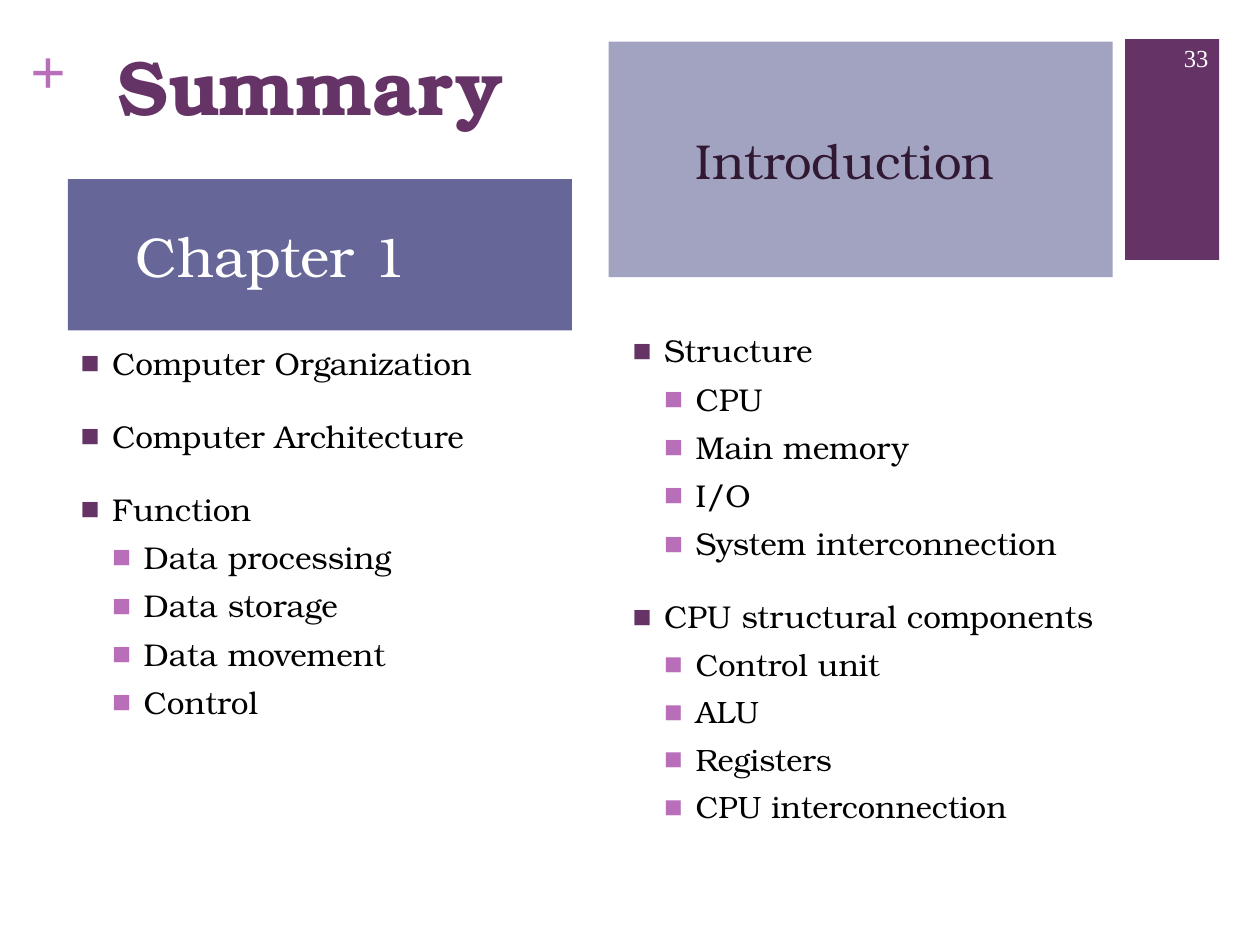
import pptx
import pptx.dml.color
import pptx.enum.shapes
import pptx.enum.text
import pptx.oxml
import pptx.oxml.ns
import pptx.util
from pptx.util import Cm

COLORS = {
    "plum": "663366", "orchid": "B86EB8", "slate": "666699", "lavender": "A2A2C1",
    "dark": "321933", "black": "000000", "white": "FFFFFF",
}
SERIF, NUMBER_FONT = "TeX Gyre Bonum", "Times New Roman"
ALIGN = pptx.enum.text.PP_ALIGN
ANCHOR = pptx.enum.text.MSO_ANCHOR

TITLE = "Summary"
# placeholder index, text, box in cm, size, fill, text color, right inset in cm
HEADINGS = [
    (1, "Chapter 1", (1.37, 3.61, 10.16, 3.05), 32, "slate", "white", 2.2),
    (3, "Introduction", (12.27, 0.84, 10.16, 4.75), 28, "lavender", "dark", 0.9),
]
# placeholder index, box in cm, topics as (name, size of subtopics, subtopics)
LISTS = [
    (2, (1.37, 6.81, 10.16, 10.21), [
        ("Computer Organization", 18, []),
        ("Computer Architecture", 18, []),
        ("Function", 18, ["Data processing", "Data storage", "Data movement", "Control"]),
    ]),
    (4, (12.5, 6.55, 10.16, 11), [
        ("Structure", 18, ["CPU", "Main memory", "I/O", "System interconnection"]),
        ("CPU structural components", 17.6,
         ["Control unit", "ALU", "Registers", "CPU interconnection"]),
    ]),
]
# level -> bullet color, space before
LEVELS = [("plum", 20), ("orchid", 6)]
INDENT = Cm(0.635)


def rgb(name):
    return pptx.dml.color.RGBColor.from_string(COLORS[name])


def place(shape, box):
    shape.left, shape.top, shape.width, shape.height = (Cm(value) for value in box)


def style(paragraph, size, color, font=SERIF, bold=False, align=ALIGN.LEFT):
    paragraph.alignment = align
    paragraph.font.size = pptx.util.Pt(size)
    paragraph.font.name = font
    paragraph.font.bold = bold
    paragraph.font.color.rgb = rgb(color)


def set_fill(shape, color):
    shape.fill.solid()
    shape.fill.fore_color.rgb = rgb(color)


def prepare_frame(shape, anchor=ANCHOR.TOP):
    frame = shape.text_frame
    frame.word_wrap = True
    frame.auto_size = pptx.enum.text.MSO_AUTO_SIZE.NONE
    frame.vertical_anchor = anchor
    return frame


def add_bullet(paragraph, level, color):
    properties = paragraph._p.get_or_add_pPr()
    properties.set("marL", str(INDENT * (level + 1)))
    properties.set("indent", str(-INDENT))
    namespace = pptx.oxml.ns.nsdecls("a")
    for xml in (
        f'<a:buClr {namespace}><a:srgbClr val="{COLORS[color]}"/></a:buClr>',
        f'<a:buSzPct {namespace} val="100000"/>',
        f'<a:buChar {namespace} char="■"/>',
    ):
        properties.append(pptx.oxml.parse_xml(xml))


def fill_list(frame, topics):
    entries = []
    for topic, size, subtopics in topics:
        entries.append((topic, 0, 18))
        entries += [(subtopic, 1, size) for subtopic in subtopics]
    for number, (text, level, size) in enumerate(entries):
        paragraph = frame.add_paragraph() if number else frame.paragraphs[0]
        bullet_color, space = LEVELS[level]
        paragraph.text = text
        paragraph.level = level
        paragraph.space_before = pptx.util.Pt(space if number else 0)
        style(paragraph, size, "black")
        add_bullet(paragraph, level, bullet_color)


def add_label(slide, text, box, **text_style):
    label = slide.shapes.add_textbox(*(Cm(value) for value in box))
    frame = prepare_frame(label)
    frame.text = text
    style(frame.paragraphs[0], font=NUMBER_FONT, **text_style)
    return frame


def main():
    presentation = pptx.Presentation()
    presentation.slide_width, presentation.slide_height = Cm(25.4), Cm(19.05)
    slide = presentation.slides.add_slide(presentation.slide_layouts[4])
    placeholders = {shape.placeholder_format.idx: shape for shape in slide.placeholders}

    title = placeholders[0]
    place(title, (2.11, 0.64, 11.3, 3.1))
    frame = prepare_frame(title)
    frame.text = TITLE
    style(frame.paragraphs[0], 44, "plum", bold=True)

    for index, box, topics in LISTS:
        place(placeholders[index], box)
        fill_list(prepare_frame(placeholders[index]), topics)

    for index, text, box, size, fill, color, right_inset in HEADINGS:
        heading = placeholders[index]
        place(heading, box)
        set_fill(heading, fill)
        frame = prepare_frame(heading, ANCHOR.MIDDLE)
        frame.margin_top = frame.margin_bottom = 0
        frame.margin_right = Cm(right_inset)
        frame.text = text
        frame.paragraphs[0].space_before = pptx.util.Pt(0)
        style(frame.paragraphs[0], size, color, align=ALIGN.CENTER)

    corner = slide.shapes.add_shape(
        pptx.enum.shapes.MSO_SHAPE.RECTANGLE, Cm(22.68), Cm(0.79), Cm(1.9), Cm(4.45))
    corner.shadow.inherit = False
    corner.line.fill.background()
    set_fill(corner, "plum")

    plus = add_label(slide, "+", (0.61, 0.64, 0.74, 1.55), size=36, color="orchid", bold=True)
    plus.margin_left = plus.margin_right = plus.margin_top = plus.margin_bottom = 0
    number = add_label(slide, "33", (23.06, 0.66, 1.55, 1.02),
                       size=14, color="white", align=ALIGN.RIGHT)
    number.vertical_anchor = ANCHOR.MIDDLE

    presentation.save("out.pptx")


if __name__ == "__main__":
    main()
